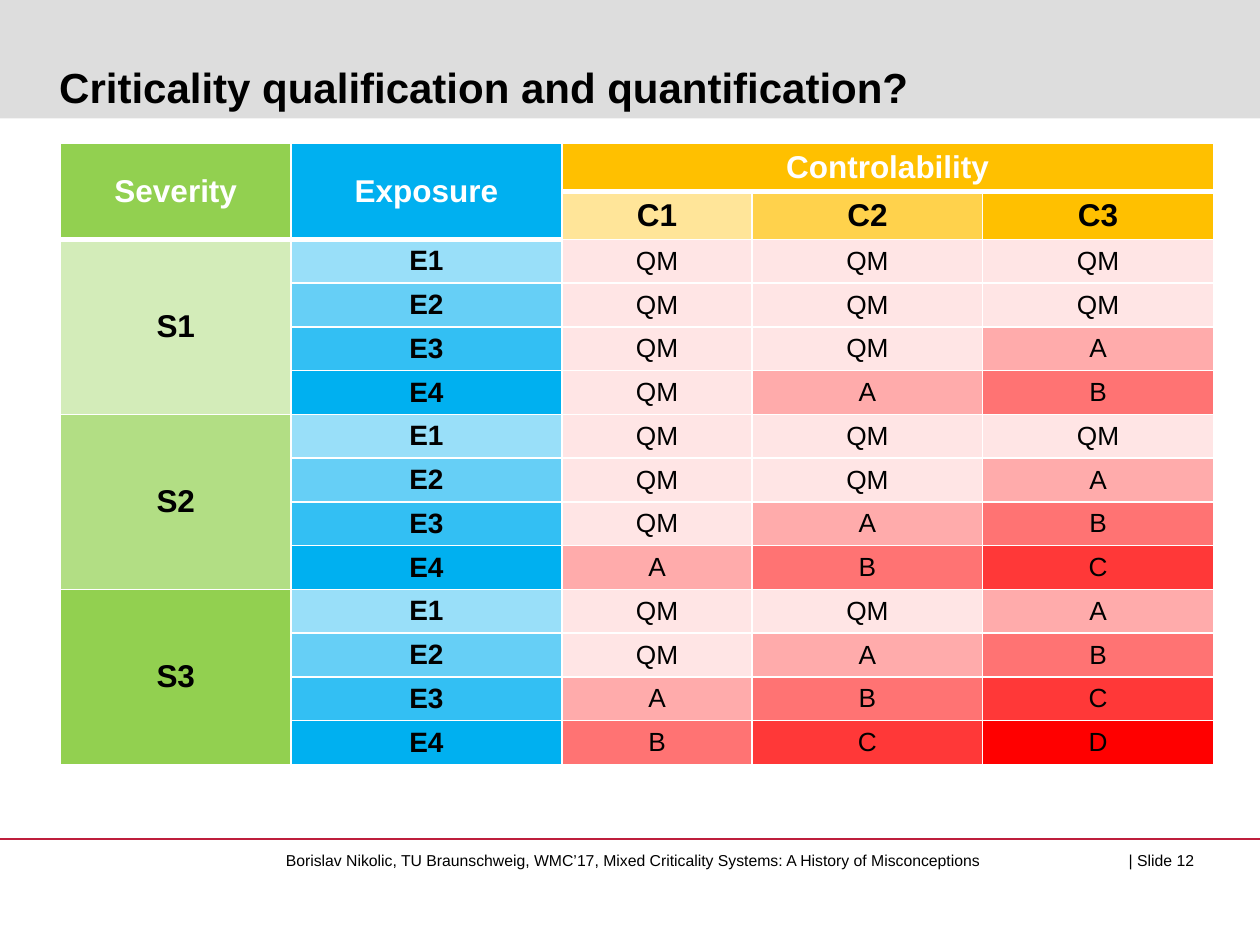
from dataclasses import dataclass

from lxml import etree
from pptx import Presentation
from pptx import util as u
from pptx.dml.color import RGBColor
from pptx.enum import shapes, text
from pptx.oxml import ns

COLORS = {
    "black": "000000",
    "white": "FFFFFF",
    "band": "DDDDDD",
    "rule": "BE1E3C",
    "severity": "92D050",
    "exposure": "00B0F0",
    "control": "FFC000",
    "level": "FF0000",
}
SEVERITY_ALPHAS = (40, 70, 100)
EXPOSURE_ALPHAS = (40, 60, 80, 100)
CONTROL_ALPHAS = (40, 70, 100)
LEVEL_ALPHAS = {"QM": 10, "A": 33, "B": 55, "C": 78, "D": 100}
COLUMN_WIDTHS = (1.83, 2.15, 1.51, 1.83, 1.83)
HEADER_ROWS = 2
BODY_ROWS = len(SEVERITY_ALPHAS) * len(EXPOSURE_ALPHAS)


@dataclass
class Entry:
    row: int
    col: int
    label: str
    fill: str
    alpha: int = 100
    size: int = 18
    bold: bool = True
    color: str = "black"
    rows: int = 1
    cols: int = 1
    bottom: int = 1


def rgb(name: str) -> RGBColor:
    return RGBColor.from_string(COLORS[name])


def add_child(parent, tag: str, **attributes: str):
    return etree.SubElement(parent, ns.qn(tag), attributes)


def set_borders(cell, bottom: int) -> None:
    """White borders of 1 pt, with a bottom border of its own width."""
    properties = cell._tc.get_or_add_tcPr()
    for index, side in enumerate(("lnL", "lnR", "lnT", "lnB")):
        width = u.Pt(bottom if side == "lnB" else 1)
        line = etree.Element(ns.qn(f"a:{side}"), {"w": str(width)})
        add_child(add_child(line, "a:solidFill"), "a:srgbClr", val=COLORS["white"])
        properties.insert(index, line)


def fill_cell(cell, entry: Entry) -> None:
    cell.fill.solid()
    cell.fill.fore_color.rgb = rgb(entry.fill)
    if entry.alpha < 100:
        color = cell._tc.tcPr.find(".//" + ns.qn("a:srgbClr"))
        add_child(color, "a:alpha", val=str(entry.alpha * 1000))


def draw_entry(table, entry: Entry) -> None:
    origin = table.cell(entry.row, entry.col)
    last_row, last_col = entry.row + entry.rows - 1, entry.col + entry.cols - 1
    if entry.rows > 1 or entry.cols > 1:
        origin.merge(table.cell(last_row, last_col))
    for row in range(entry.row, last_row + 1):
        for col in range(entry.col, last_col + 1):
            part = table.cell(row, col)
            fill_cell(part, entry)
            set_borders(part, entry.bottom)
    origin.vertical_anchor = text.MSO_ANCHOR.MIDDLE
    origin.margin_top = origin.margin_bottom = u.Inches(0.04)
    label = origin.text_frame.paragraphs[0]
    label.text = entry.label
    label.alignment = text.PP_ALIGN.CENTER
    style_font(label.font, entry.size, entry.bold, entry.color)


def style_font(font, size: int, bold: bool = False, color: str = "black") -> None:
    font.name = "Arial"
    font.size = u.Pt(size)
    font.bold = bold
    font.color.rgb = rgb(color)


def safety_level(severity: int, exposure: int, control: int) -> str:
    """The three classes add up to 10 for D, one less for each level below."""
    return {10: "D", 9: "C", 8: "B", 7: "A"}.get(severity + exposure + control, "QM")


def table_entries() -> list[Entry]:
    entries = [
        Entry(0, 0, "Severity", "severity", color="white", rows=2, bottom=3),
        Entry(0, 1, "Exposure", "exposure", color="white", rows=2, bottom=3),
        Entry(0, 2, "Controlability", "control", color="white", cols=3, bottom=3),
    ]
    for c, alpha in enumerate(CONTROL_ALPHAS, 1):
        entries.append(Entry(1, c + 1, f"C{c}", "control", alpha))
    row = HEADER_ROWS
    for s, severity_alpha in enumerate(SEVERITY_ALPHAS, 1):
        entries.append(Entry(row, 0, f"S{s}", "severity", severity_alpha,
                             rows=len(EXPOSURE_ALPHAS)))
        for e, exposure_alpha in enumerate(EXPOSURE_ALPHAS, 1):
            entries.append(Entry(row, 1, f"E{e}", "exposure", exposure_alpha, size=16))
            for c in range(1, len(CONTROL_ALPHAS) + 1):
                level = safety_level(s, e, c)
                entries.append(Entry(row, c + 1, level, "level", LEVEL_ALPHAS[level],
                                     size=15, bold=False))
            row += 1
    return entries


def draw_frame(slide) -> None:
    """Grey title band behind everything, and the red footer line."""
    band = slide.shapes.add_shape(shapes.MSO_SHAPE.RECTANGLE, 0, 0,
                                  u.Inches(10), u.Inches(0.94))
    band.shadow.inherit = False
    band.fill.solid()
    band.fill.fore_color.rgb = rgb("band")
    band.line.fill.background()
    slide.shapes._spTree.insert(2, band._element)

    rule = slide.shapes.add_connector(shapes.MSO_CONNECTOR.STRAIGHT, 0, u.Inches(6.66),
                                      u.Inches(10), u.Inches(6.66))
    rule.line.color.rgb = rgb("rule")
    rule.line.width = u.Pt(1.5)
    add_child(rule._element.spPr, "a:effectLst")


def draw_title(slide) -> None:
    title = slide.shapes.title
    title.left, title.top = u.Inches(0.47), u.Inches(0.12)
    title.width, title.height = u.Inches(8.12), u.Inches(0.77)
    frame = title.text_frame
    frame.margin_left = frame.margin_right = frame.margin_top = frame.margin_bottom = 0
    frame.vertical_anchor = text.MSO_ANCHOR.BOTTOM
    frame.auto_size = text.MSO_AUTO_SIZE.NONE
    heading = frame.paragraphs[0]
    heading.text = "Criticality qualification and quantification?"
    heading.alignment = text.PP_ALIGN.LEFT
    style_font(heading.font, 24, bold=True)


def draw_footer(slide) -> None:
    footer = slide.shapes.add_textbox(u.Inches(2.17), u.Inches(6.7),
                                      u.Inches(7.47), u.Inches(0.25))
    footer.text_frame.word_wrap = True
    credit = footer.text_frame.paragraphs[0]
    credit.text = ("Borislav Nikolic, TU Braunschweig, WMC’17, Mixed Criticality Systems: "
                   "A History of Misconceptions\t| Slide 12")
    tabs = add_child(credit._p.get_or_add_pPr(), "a:tabLst")
    add_child(tabs, "a:tab", pos=str(u.Inches(6.69)), algn="l")
    style_font(credit.font, 9)


def draw_table(slide) -> None:
    header_height, body_height = u.Inches(0.38), u.Inches(4.17 / BODY_ROWS)
    table = slide.shapes.add_table(
        HEADER_ROWS + BODY_ROWS, len(COLUMN_WIDTHS), u.Inches(0.48), u.Inches(1.14),
        u.Inches(sum(COLUMN_WIDTHS)),
        HEADER_ROWS * header_height + BODY_ROWS * body_height).table
    for column, width in zip(table.columns, COLUMN_WIDTHS):
        column.width = u.Inches(width)
    for index, row in enumerate(table.rows):
        row.height = header_height if index < HEADER_ROWS else body_height
    for entry in table_entries():
        draw_entry(table, entry)


def main() -> None:
    deck = Presentation()
    deck.slide_width, deck.slide_height = u.Inches(10), u.Inches(7.5)
    slide = deck.slides.add_slide(deck.slide_layouts[5])
    draw_frame(slide)
    draw_title(slide)
    draw_footer(slide)
    draw_table(slide)
    deck.save("out.pptx")


if __name__ == "__main__":
    main()
